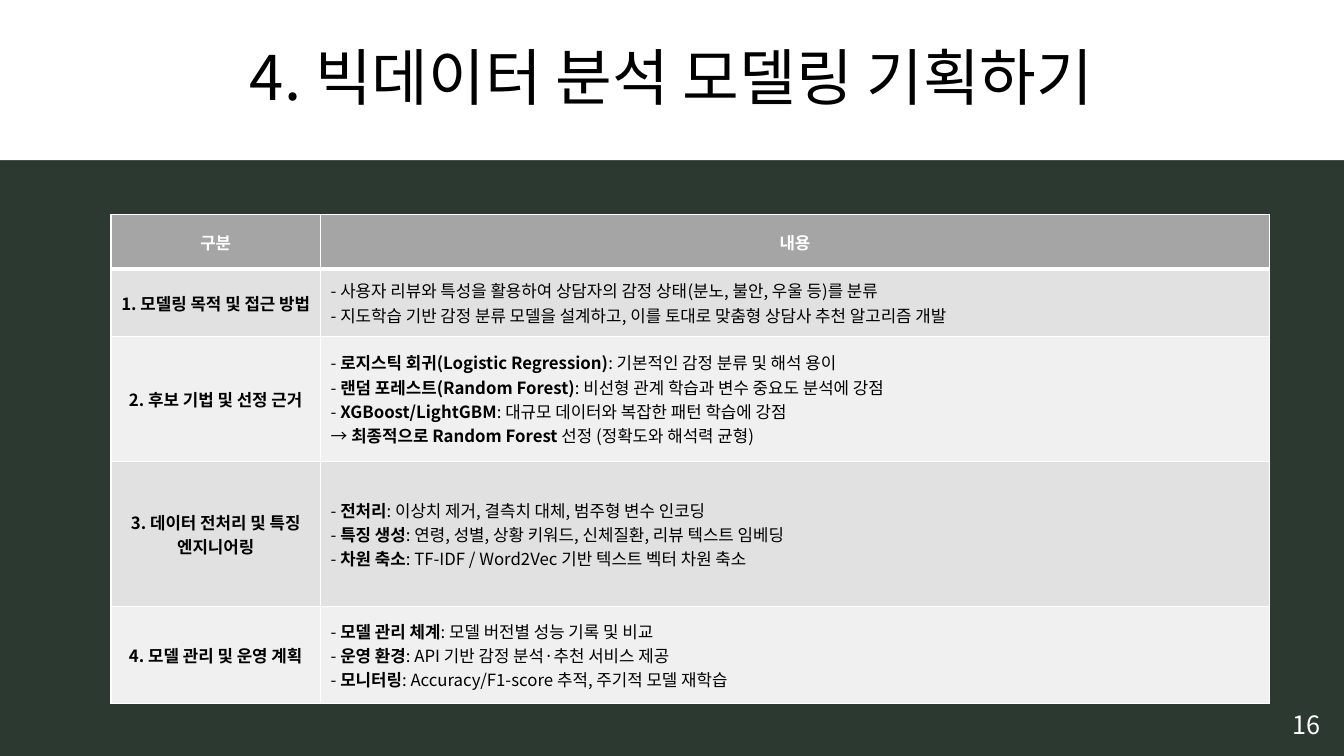
from lxml.etree import SubElement
from pptx import Presentation
from pptx.dml.color import RGBColor
from pptx.enum.text import MSO_ANCHOR, MSO_AUTO_SIZE, PP_ALIGN
from pptx.oxml.ns import qn
from pptx.util import Inches, Pt

FONT = "Noto Sans CJK KR"
WHITE, BLACK, DARK_GREEN = "FFFFFF", "000000", "2C3930"
HEADER_GRAY, BAND_GRAYS = "A5A5A5", ("E1E1E1", "F0F0F0")
COLUMN_WIDTHS = (2.08, 9.41)
ROW_HEIGHTS = (0.54, 0.67, 1.24, 1.44, 0.96)

HEADINGS = ("구분", "내용")
TOPICS = [
    ("1. 모델링 목적 및 접근 방법", [
        ("- 사용자 리뷰와 특성을 활용하여 상담자의 감정 상태(분노, 불안, 우울 등)를 분류",),
        ("- 지도학습 기반 감정 분류 모델을 설계하고, 이를 토대로 맞춤형 상담사 추천 알고리즘 개발",),
    ]),
    ("2. 후보 기법 및 선정 근거", [
        ("- ", "로지스틱 회귀(Logistic Regression)", ": 기본적인 감정 분류 및 해석 용이"),
        ("- ", "랜덤 포레스트(Random Forest)", ": 비선형 관계 학습과 변수 중요도 분석에 강점"),
        ("- ", "XGBoost/LightGBM", ": 대규모 데이터와 복잡한 패턴 학습에 강점"),
        ("→ ", "최종적으로 Random Forest", " 선정 (정확도와 해석력 균형)"),
    ]),
    ("3. 데이터 전처리 및 특징 엔지니어링", [
        ("- ", "전처리", ": 이상치 제거, 결측치 대체, 범주형 변수 인코딩"),
        ("- ", "특징 생성", ": 연령, 성별, 상황 키워드, 신체질환, 리뷰 텍스트 임베딩"),
        ("- ", "차원 축소", ": TF-IDF / Word2Vec 기반 텍스트 벡터 차원 축소"),
    ]),
    ("4. 모델 관리 및 운영 계획", [
        ("- ", "모델 관리 체계", ": 모델 버전별 성능 기록 및 비교"),
        ("- ", "운영 환경", ": API 기반 감정 분석·추천 서비스 제공"),
        ("- ", "모니터링", ": Accuracy/F1-score 추적, 주기적 모델 재학습"),
    ]),
]


def paint(fill, color):
    fill.solid()
    fill.fore_color.rgb = RGBColor.from_string(color)


def format_span(span, size, color, bold=False):
    span.font.size = Pt(size)
    span.font.bold = bold
    span.font.name = FONT
    span.font.color.rgb = RGBColor.from_string(color)
    SubElement(span.font._element, qn("a:ea"), typeface=FONT)


def write_centered(frame, text, size, color, bold=False):
    frame.text = text
    para = frame.paragraphs[0]
    para.alignment = PP_ALIGN.CENTER
    format_span(para.runs[0], size, color, bold)


def write_lines(frame, lines):
    for index, parts in enumerate(lines):
        para = frame.add_paragraph() if index else frame.paragraphs[0]
        para.alignment = PP_ALIGN.LEFT
        for position, part in enumerate(parts):
            span = para.add_run()
            span.text = part
            format_span(span, 12, BLACK, bold=position == 1)


def style_cell(cell, color, top=1, bottom=1):
    cell.vertical_anchor = MSO_ANCHOR.MIDDLE
    properties = cell._tc.get_or_add_tcPr()
    for side, width in (("L", 1), ("R", 1), ("T", top), ("B", bottom)):
        border = SubElement(properties, qn(f"a:ln{side}"), w=str(Pt(width)))
        solid = SubElement(border, qn("a:solidFill"))
        SubElement(solid, qn("a:srgbClr"), val=WHITE)
    paint(cell.fill, color)


def add_title(page, text):
    title = page.shapes.title
    title.left, title.top = Inches(0), Inches(0)
    title.width, title.height = Inches(13.33), Inches(1.59)
    paint(title.fill, WHITE)
    frame = title.text_frame
    frame.auto_size = MSO_AUTO_SIZE.NONE
    frame.vertical_anchor = MSO_ANCHOR.MIDDLE
    write_centered(frame, text, 44, BLACK)
    frame.paragraphs[0].line_spacing = 0.9


def add_page_number(page, text):
    box = page.shapes.add_textbox(Inches(12.59), Inches(6.99), Inches(0.74), Inches(0.4))
    box.text_frame.word_wrap = True
    box.text_frame.auto_size = MSO_AUTO_SIZE.SHAPE_TO_FIT_TEXT
    write_centered(box.text_frame, text, 18, WHITE)


def add_plan_table(page):
    table = page.shapes.add_table(
        len(ROW_HEIGHTS), len(COLUMN_WIDTHS), Inches(1.1), Inches(2.13),
        Inches(sum(COLUMN_WIDTHS)), Inches(sum(ROW_HEIGHTS))).table
    for column, width in zip(table.columns, COLUMN_WIDTHS):
        column.width = Inches(width)
    for row, height in zip(table.rows, ROW_HEIGHTS):
        row.height = Inches(height)

    for column, heading in enumerate(HEADINGS):
        cell = table.cell(0, column)
        style_cell(cell, HEADER_GRAY, bottom=3)
        write_centered(cell.text_frame, heading, 12, WHITE, bold=True)

    for row, (topic, lines) in enumerate(TOPICS, start=1):
        topic_cell, content_cell = table.cell(row, 0), table.cell(row, 1)
        for cell in (topic_cell, content_cell):
            style_cell(cell, BAND_GRAYS[(row - 1) % 2], top=3 if row == 1 else 1)
        write_centered(topic_cell.text_frame, topic, 12, BLACK, bold=True)
        write_lines(content_cell.text_frame, lines)


def main():
    deck = Presentation()
    deck.slide_width, deck.slide_height = Inches(13.33), Inches(7.5)
    page = deck.slides.add_slide(deck.slide_layouts[5])
    paint(page.background.fill, DARK_GREEN)
    add_title(page, "4. 빅데이터 분석 모델링 기획하기")
    add_page_number(page, "16")
    add_plan_table(page)
    deck.save("out.pptx")


if __name__ == "__main__":
    main()
